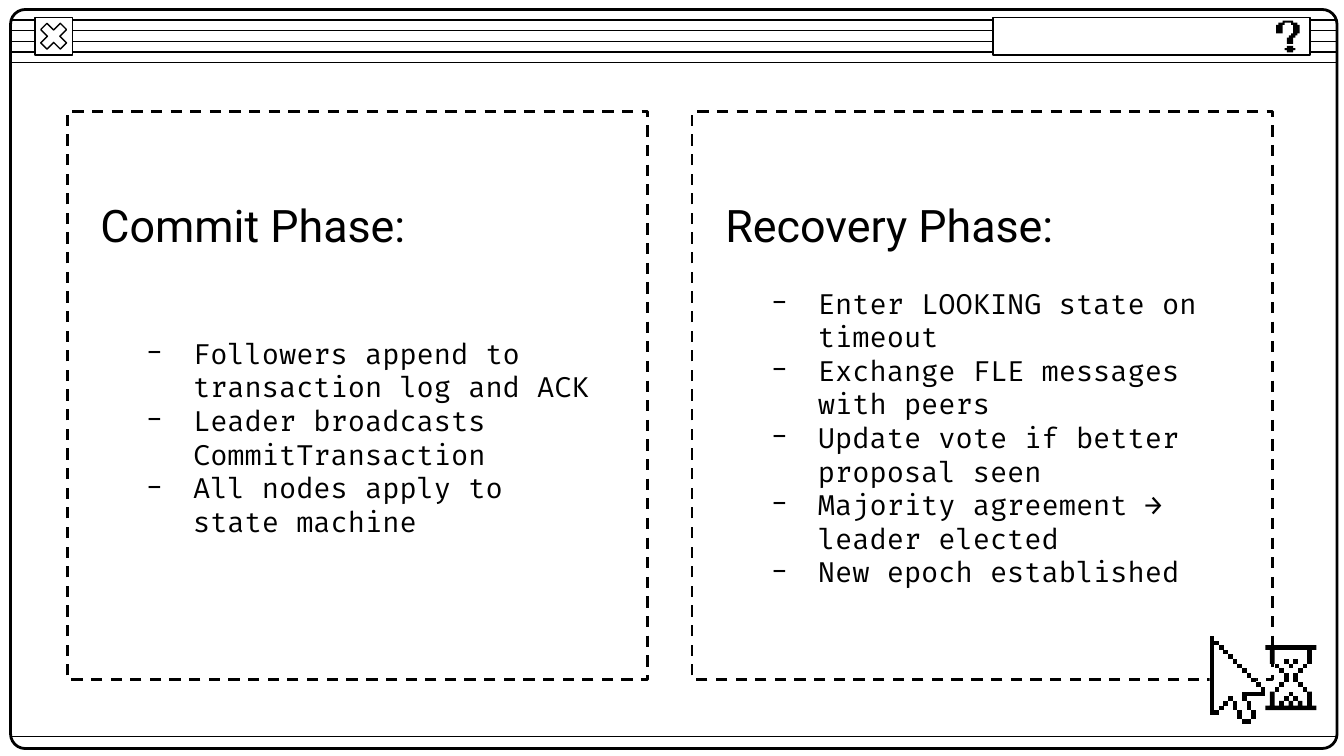
from lxml import etree
from pptx import Presentation
from pptx.dml.color import RGBColor
from pptx.enum.dml import MSO_LINE
from pptx.enum.shapes import MSO_CONNECTOR, MSO_SHAPE
from pptx.enum.text import MSO_ANCHOR, PP_ALIGN
from pptx.oxml.ns import qn
from pptx.util import Cm, Pt

RECTANGLE = MSO_SHAPE.RECTANGLE
ROUNDED = MSO_SHAPE.ROUNDED_RECTANGLE
CROSS = MSO_SHAPE.MATH_MULTIPLY
STRAIGHT = MSO_CONNECTOR.STRAIGHT
DASH = MSO_LINE.DASH
MIDDLE = MSO_ANCHOR.MIDDLE
LEFT = PP_ALIGN.LEFT

COLORS = {"ink": "000000", "paper": "FFFFFF"}
HEADING_FONT = "Roboto"
BODY_FONT = "Fira Code"

PANELS = [
    (1.27, "Commit Phase:", [
        "Followers append to transaction log and ACK",
        "Leader broadcasts CommitTransaction",
        "All nodes apply to state machine",
    ]),
    (13.08, "Recovery Phase:", [
        "Enter LOOKING state on timeout",
        "Exchange FLE messages with peers",
        "Update vote if better proposal seen",
        "Majority agreement → leader elected",
        "New epoch established",
    ]),
]

QUESTION_GRID = (24.12, 0.39, 0.04)
QUESTION_DOT = [(5, 12), (5, 13), (4, 13), (4, 14), (5, 14), (5, 15),
                (8, 15), (8, 14), (9, 14), (9, 13), (8, 13), (8, 12)]
QUESTION_HOOK = [
    (3, 0), (3, 1), (1, 1), (1, 2), (0, 2), (0, 6), (3, 6), (3, 2),
    (4, 2), (4, 1), (7, 1), (7, 2), (8, 2), (8, 6), (7, 6), (7, 7),
    (6, 7), (6, 8), (5, 8), (5, 11), (8, 11), (8, 8), (9, 8), (9, 7),
    (10, 7), (10, 6), (11, 6), (11, 2), (10, 2), (10, 1), (8, 1), (8, 0)]

POINTER_GRID = (22.86, 12.02, 2.02 / 23)
POINTER_STAIRS = [point for step in range(11, 0, -1)
                  for point in ((step, step), (step, step - 1))]
POINTER_BODY = [
    (0, 0), (0, 17), (2, 17), (2, 16), (3, 16), (3, 15), (4, 15), (4, 14),
    (5, 14), (5, 16), (6, 16), (6, 18), (7, 18), (7, 19), (9, 19), (9, 18),
    (10, 18), (10, 16), (9, 16), (9, 14), (8, 14), (8, 13), (12, 13),
    (12, 11)] + POINTER_STAIRS
POINTER_BLOCKS = [(0, 0, 1, 17)] + [(step, step, 1, 1) for step in range(1, 12)] + [
    (7, 12, 5, 1), (7, 13, 1, 1), (4, 13, 1, 1), (5, 14, 1, 2), (6, 16, 1, 2),
    (7, 18, 2, 1), (8, 14, 1, 2), (9, 16, 1, 2), (3, 14, 1, 1), (2, 15, 1, 1),
    (1, 16, 1, 1)]

HOURGLASS_WIDTH_SUM = 35
GLASS_HALF = [
    (12, 2), (12, 3), (13, 3), (13, 6), (14, 6), (14, 7), (15, 7), (15, 8),
    (16, 8), (16, 10), (15, 10), (15, 11), (14, 11), (14, 12), (13, 12),
    (13, 15), (12, 15), (12, 16)]
TOP_HALF = [(12, 2), (12, 3), (13, 3), (13, 6), (14, 6), (14, 3)]
BASE_HALF = [
    (12, 16), (12, 15), (13, 15), (13, 12), (14, 12), (14, 15), (15, 15),
    (15, 14), (16, 14), (16, 15), (17, 15), (17, 14)]
SIDE_BLOCKS = [(14, 6, 1, 1), (15, 7, 1, 1), (16, 5, 1, 1), (16, 8, 1, 2),
               (15, 10, 1, 1), (14, 11, 1, 1), (16, 13, 1, 1)]
SAND_BLOCKS = [(17, 6, 1, 1), (17, 12, 1, 1)]


def symmetric(half):
    """Complete a left half outline with its mirrored right half."""
    return half + [(HOURGLASS_WIDTH_SUM - x, y) for x, y in reversed(half)]


class WindowSlide:
    """Draw black and white desktop window elements on one slide."""

    def __init__(self, slide):
        self.slide = slide

    def color(self, name):
        return RGBColor.from_string(COLORS[name])

    def box(self, kind, left, top, width, height, weight=0.75, fill=None,
            dash=None, adjustment=None):
        shape = self.slide.shapes.add_shape(
            kind, Cm(left), Cm(top), Cm(width), Cm(height))
        shape.shadow.inherit = False
        if fill:
            shape.fill.solid()
            shape.fill.fore_color.rgb = self.color(fill)
        else:
            shape.fill.background()
        shape.line.color.rgb = self.color("ink")
        shape.line.width = Pt(weight)
        if dash:
            shape.line.dash_style = dash
        if adjustment:
            shape.adjustments[0] = adjustment

    def rule(self, top):
        connector = self.slide.shapes.add_connector(
            STRAIGHT, Cm(0.2), Cm(top), Cm(25.27), Cm(top))
        connector.line.color.rgb = self.color("ink")
        connector.line.width = Pt(0.75)
        etree.SubElement(connector._element.spPr, qn("a:effectLst"))

    def outline(self, grid, points, fill="ink"):
        left, top, cell = grid
        builder = self.slide.shapes.build_freeform(*points[0], scale=Cm(cell))
        builder.add_line_segments(points[1:], close=True)
        shape = builder.convert_to_shape(Cm(left), Cm(top))
        shape.shadow.inherit = False
        shape.fill.solid()
        shape.fill.fore_color.rgb = self.color(fill)
        shape.line.fill.background()

    def blocks(self, grid, blocks):
        for x, y, width, height in blocks:
            self.outline(grid, [(x, y), (x, y + height),
                                (x + width, y + height), (x + width, y)])

    def bullet(self, paragraph):
        properties = paragraph._p.get_or_add_pPr()
        properties.set("marL", str(Cm(1.27)))
        properties.set("indent", str(Cm(-0.89)))
        color = etree.SubElement(properties, qn("a:buClr"))
        etree.SubElement(color, qn("a:srgbClr"), val=COLORS["ink"])
        etree.SubElement(properties, qn("a:buFont"), typeface=BODY_FONT)
        etree.SubElement(properties, qn("a:buChar"), char="-")

    def text(self, left, top, height, lines, font, size, bulleted=False):
        frame = self.slide.shapes.add_textbox(
            Cm(left), Cm(top), Cm(9.42), Cm(height)).text_frame
        frame.word_wrap = True
        frame.vertical_anchor = MIDDLE
        frame.margin_left = frame.margin_right = Cm(0.25)
        frame.margin_top = frame.margin_bottom = Cm(0.25)
        frame.text = "\n".join(lines)
        for paragraph in frame.paragraphs:
            paragraph.alignment = LEFT
            if bulleted:
                self.bullet(paragraph)
            paragraph.font.name = font
            paragraph.font.size = Pt(size)
            paragraph.font.color.rgb = self.color("ink")

    def window(self):
        for index in range(5):
            self.rule(0.38 + 0.2 * index)
        self.box(ROUNDED, 0.2, 0.18, 25.07, 13.97, weight=1.5, adjustment=0.02)
        self.box(RECTANGLE, 0.66, 0.33, 0.71, 0.71, fill="paper")
        self.box(CROSS, 0.66, 0.33, 0.71, 0.71, fill="paper", adjustment=0.235)
        self.rule(13.92)
        self.box(RECTANGLE, 18.77, 0.33, 5.99, 0.71, fill="paper")
        self.outline(QUESTION_GRID, QUESTION_DOT)
        self.outline(QUESTION_GRID, QUESTION_HOOK)

    def panel(self, left, heading, items):
        self.box(RECTANGLE, left, 2.11, 10.97, 10.74, weight=1.5, dash=DASH)
        self.text(left + 0.86, 4.85, 6.83, items, BODY_FONT, 15, bulleted=True)
        self.text(left + 0.38, 3.63, 1.24, [heading], HEADING_FONT, 24)

    def pointer(self):
        self.outline(POINTER_GRID, POINTER_BODY, "paper")
        self.blocks(POINTER_GRID, POINTER_BLOCKS)

    def hourglass(self):
        mirrored = [(HOURGLASS_WIDTH_SUM - x - width, y, width, height)
                    for x, y, width, height in SIDE_BLOCKS]
        self.outline(POINTER_GRID, symmetric(GLASS_HALF), "paper")
        self.blocks(POINTER_GRID, SIDE_BLOCKS + SAND_BLOCKS + mirrored)
        self.outline(POINTER_GRID, symmetric(TOP_HALF))
        self.outline(POINTER_GRID, symmetric(BASE_HALF))


def main():
    presentation = Presentation()
    presentation.slide_width = Cm(25.4)
    presentation.slide_height = Cm(14.29)
    page = WindowSlide(presentation.slides.add_slide(presentation.slide_layouts[6]))
    page.window()
    for left, heading, items in PANELS:
        page.panel(left, heading, items)
    page.pointer()
    page.hourglass()
    presentation.save("out.pptx")


if __name__ == "__main__":
    main()
